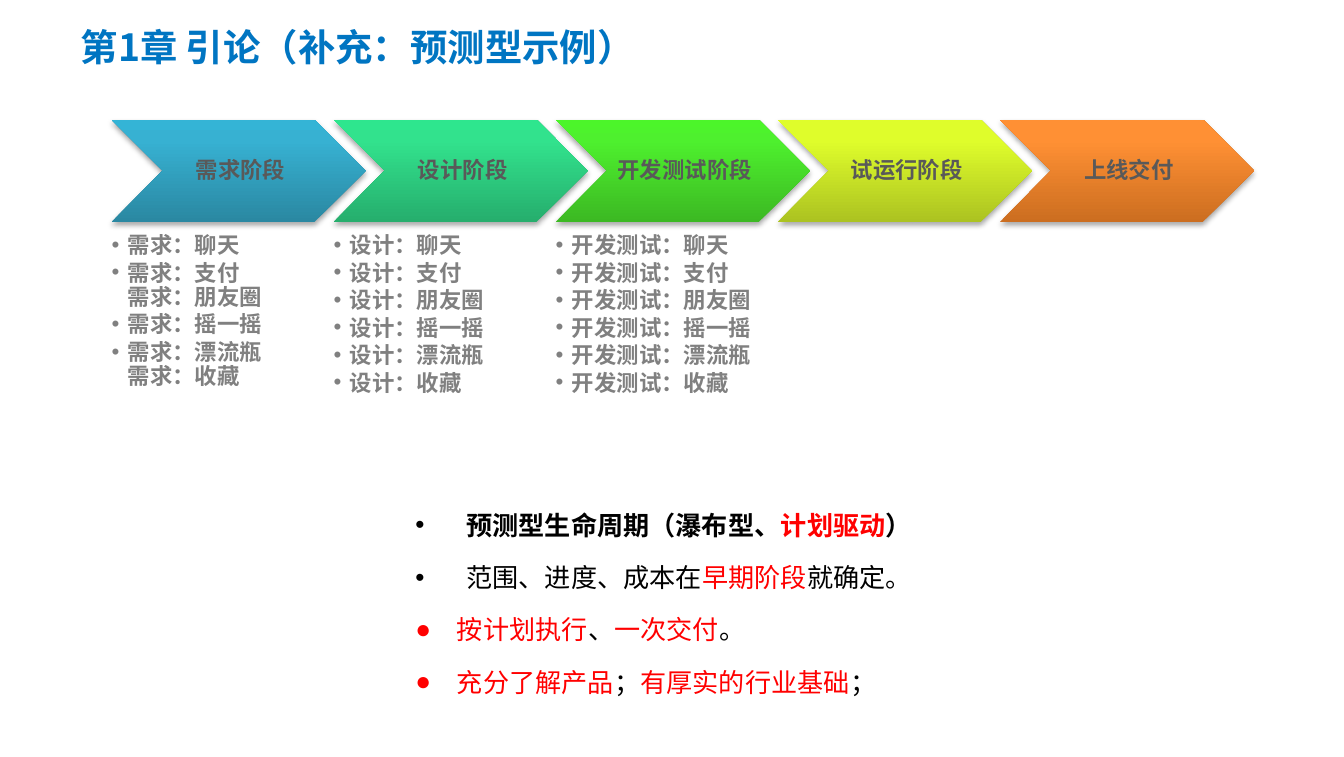
from copy import deepcopy
from dataclasses import dataclass

from lxml import etree
from pptx import Presentation
from pptx.dml.color import RGBColor
from pptx.enum.shapes import MSO_SHAPE
from pptx.enum.text import MSO_ANCHOR, MSO_AUTO_SIZE, PP_ALIGN
from pptx.oxml.ns import qn
from pptx.util import Emu, Inches, Pt

CHEVRON = MSO_SHAPE.CHEVRON
TOP, MIDDLE = MSO_ANCHOR.TOP, MSO_ANCHOR.MIDDLE
NO_FIT = MSO_AUTO_SIZE.NONE
LEFT, CENTER = PP_ALIGN.LEFT, PP_ALIGN.CENTER


@dataclass(frozen=True)
class Theme:
    font: str = "Noto Sans CJK SC"
    heading: str = "0075C2"
    text: str = "000000"
    accent: str = "FF0000"
    stage: str = "595959"
    task: str = "808080"
    heading_size: int = 20
    summary_size: int = 14
    stage_size: int = 12


THEME = Theme()
TASKS = ["聊天", "支付", "朋友圈", "摇一摇", "漂流瓶", "收藏"]
STAGES = [
    ("需求阶段", ("2A88A2", "37B1D2", "34B4D6"), "需求", (2, 5)),
    ("设计阶段", ("26AE6D", "32E28D", "2EE68E"), "设计", ()),
    ("开发测试阶段", ("3CB923", "4EF02E", "4CF52A"), "开发测试", ()),
    ("试运行阶段", ("ACC321", "DFFD2B", "E1FF2B"), None, ()),
    ("上线交付", ("CC6E20", "FF9034", "FF9136"), None, ()),
]
SUMMARY = [
    ("•", 0.38, True, [("预测型生命周期（瀑布型、", False), ("计划驱动", True), ("）", False)]),
    ("•", 0.38, False, [("范围、进度、成本在", False), ("早期阶段", True), ("就确定。", False)]),
    ("●", 0.31, False, [("按计划执行", True), ("、", False), ("一次交付", True), ("。", False)]),
    ("●", 0.31, False, [("充分了解产品", True), ("；", False), ("有厚实的行业基础", True), ("；", False)]),
]


def set_format(target, **values):
    for name, value in values.items():
        setattr(target, name, value)


def set_insets(frame, left, top, right, bottom):
    set_format(frame, margin_left=Inches(left), margin_top=Inches(top),
               margin_right=Inches(right), margin_bottom=Inches(bottom))


def place(part, box):
    left, top, width, height = (Inches(length) for length in box)
    set_format(part, left=left, top=top, width=width, height=height)


def style_run(run, size, color, bold):
    set_format(run.font, name=THEME.font, size=Pt(size), bold=bold)
    run.font.color.rgb = RGBColor.from_string(color)
    etree.SubElement(run.font._element, qn("a:ea"), typeface=THEME.font)


def set_bullet(paragraph, mark, indent):
    properties = paragraph._p.get_or_add_pPr()
    properties.set("marL", str(Inches(indent)))
    properties.set("indent", str(-Inches(indent)))
    etree.SubElement(properties, qn("a:buFont"), typeface="Arial")
    etree.SubElement(properties, qn("a:buChar"), char=mark)


def paint_chevron(chevron, colors):
    chevron.line.fill.background()
    chevron.fill.gradient()
    chevron.fill.gradient_angle = 90
    stop_list = chevron._element.spPr.find(".//" + qn("a:gsLst"))
    stop_list.append(deepcopy(stop_list[0]))
    for stop, color, position in zip(chevron.fill.gradient_stops, colors, (0, 0.8, 1)):
        stop.color.rgb = RGBColor.from_string(color)
        stop.position = position
    chevron.shadow.inherit = False
    effects = chevron._element.spPr.find(qn("a:effectLst"))
    shadow = etree.SubElement(effects, qn("a:outerShdw"), blurRad=str(Pt(3.1)),
                              dist=str(Pt(1.8)), dir="5400000", rotWithShape="0")
    shade = etree.SubElement(shadow, qn("a:srgbClr"), val="000000")
    etree.SubElement(shade, qn("a:alpha"), val="35000")


def add_heading(slide, box):
    heading = slide.shapes.title
    place(heading, box)
    frame = heading.text_frame
    set_format(frame, word_wrap=True, auto_size=NO_FIT, vertical_anchor=MIDDLE)
    frame.text = "第1章 引论（补充：预测型示例）"
    frame.paragraphs[0].alignment = LEFT
    style_run(frame.paragraphs[0].runs[0], THEME.heading_size, THEME.heading, True)


def add_summary(slide, box):
    summary = slide.placeholders[1]
    place(summary, box)
    frame = summary.text_frame
    set_format(frame, word_wrap=True, auto_size=NO_FIT, vertical_anchor=TOP)
    for index, (mark, indent, bold, phrases) in enumerate(SUMMARY):
        point = frame.add_paragraph() if index else frame.paragraphs[0]
        set_format(point, line_spacing=Pt(25.2), space_before=Pt(2.8))
        set_bullet(point, mark, indent)
        for phrase, stressed in phrases:
            run = point.add_run()
            run.text = phrase
            style_run(run, THEME.summary_size, THEME.accent if stressed else THEME.text, bold)


def add_chevron(slide, box, label, colors):
    chevron = slide.shapes.add_shape(CHEVRON, *(Inches(length) for length in box))
    paint_chevron(chevron, colors)
    frame = chevron.text_frame
    set_format(frame, word_wrap=True, vertical_anchor=MIDDLE)
    set_insets(frame, 0.05, 0.02, 0.02, 0.02)
    frame.text = label
    set_format(frame.paragraphs[0], alignment=CENTER, line_spacing=0.9)
    style_run(frame.paragraphs[0].runs[0], THEME.stage_size, THEME.stage, True)


def add_tasks(slide, box, prefix, joined):
    task_list = slide.shapes.add_textbox(*(Inches(length) for length in box))
    frame = task_list.text_frame
    set_format(frame, word_wrap=True, vertical_anchor=TOP)
    set_insets(frame, 0, 0, 0, 0)
    for index, task in enumerate(TASKS):
        if index in joined:
            item.add_line_break()
        else:
            item = frame.add_paragraph() if index else frame.paragraphs[0]
            set_format(item, line_spacing=Pt(13), space_after=Pt(1.7))
            set_bullet(item, "•", 0.12)
        run = item.add_run()
        run.text = f"{prefix}：{task}"
        style_run(run, THEME.stage_size, THEME.task, True)


def add_process(slide, box):
    left, top, width, height = box
    chevron_width, chevron_height, task_offset = 1.89, 0.76, 0.85
    pitch = (width - chevron_width) / (len(STAGES) - 1)
    for index, (label, colors, prefix, joined) in enumerate(STAGES):
        stage_left = left + index * pitch
        add_chevron(slide, (stage_left, top, chevron_width, chevron_height), label, colors)
        if prefix:
            add_tasks(slide, (stage_left, top + task_offset, 1.51, height - task_offset),
                      prefix, joined)


def build():
    deck = Presentation()
    set_format(deck, slide_width=Inches(10), slide_height=Emu(Inches(5.63)))
    slide = deck.slides.add_slide(deck.slide_layouts[1])
    add_heading(slide, (0.5, 0.14, 6.86, 0.41))
    add_summary(slide, (2.99, 3.62, 4.02, 1.61))
    add_process(slide, (0.83, 0.89, 8.5, 2.62))
    deck.save("out.pptx")


build()
